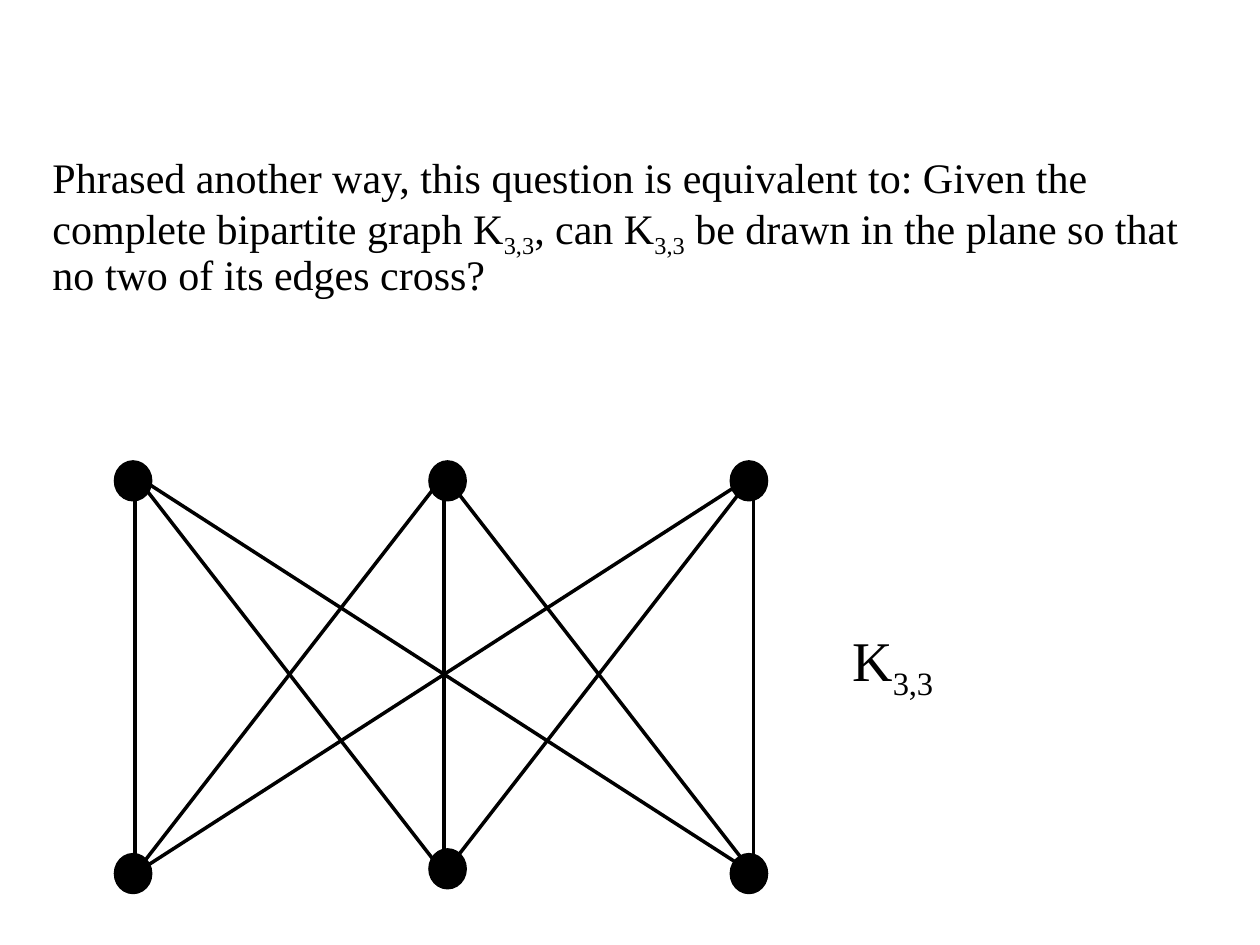
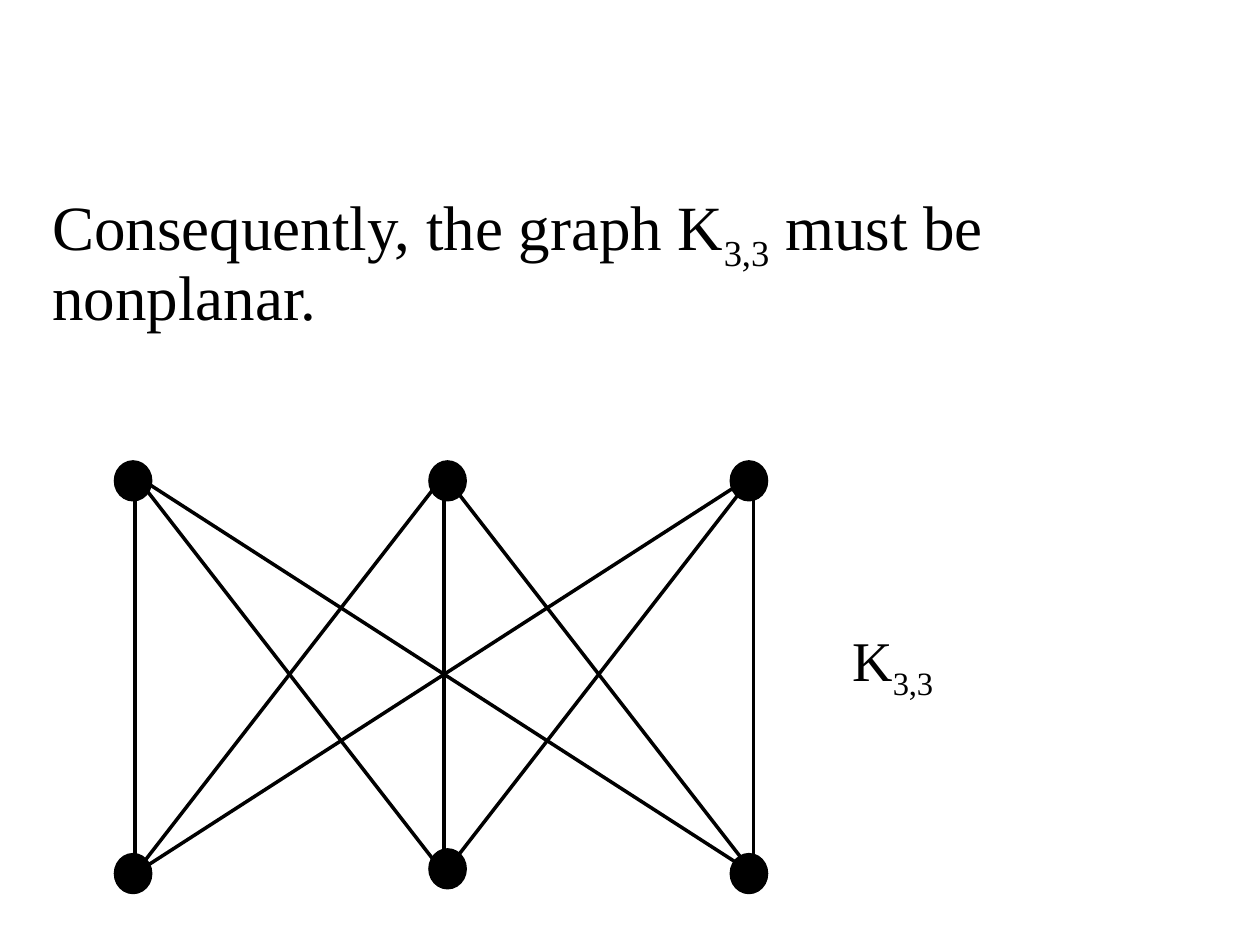
from dataclasses import dataclass
from itertools import product

from lxml import etree
from pptx import Presentation
from pptx.dml.color import RGBColor
from pptx.enum.shapes import MSO_CONNECTOR, MSO_SHAPE
from pptx.enum.text import MSO_ANCHOR, MSO_AUTO_SIZE, PP_ALIGN
from pptx.oxml.ns import qn
from pptx.util import Inches, Pt

STRAIGHT = MSO_CONNECTOR.STRAIGHT
ELLIPSE = MSO_SHAPE.OVAL
TOP = MSO_ANCHOR.TOP
GROW = MSO_AUTO_SIZE.SHAPE_TO_FIT_TEXT
LEFT = PP_ALIGN.LEFT

SLIDE_WIDTH, SLIDE_HEIGHT = Inches(10), Inches(7.5)
COLUMNS, ROWS = 120, 90
CONTENT_LAYOUT = 1
SUBSCRIPT_MARK = "~"


@dataclass(frozen=True)
class Theme:
    ink: RGBColor = RGBColor(0, 0, 0)
    font: str = "Times New Roman"
    question_size: int = 24
    conclusion_size: int = 36
    label_size: int = 32
    line_width: int = 2
    statement_spacing: float = 0.9
    subscript_shift: str = "-25000"


THEME = Theme()

STATEMENTS = (
    ("Phrased another way, this question is equivalent to: Given the complete "
     "bipartite graph K~3,3~, can K~3,3~ be drawn in the plane so that no two "
     "of its edges cross?", THEME.question_size, (5, 15, 110, 26)),
    ("Consequently, the graph K~3,3~ must be nonplanar.",
     THEME.conclusion_size, (5, 18, 110, 19)),
)
GRAPH_BOX = (11, 44, 62, 41)
LABEL_BOX = (80, 59, 13, 7.5)


def across(columns):
    return round(SLIDE_WIDTH * columns / COLUMNS)


def down(rows):
    return round(SLIDE_HEIGHT * rows / ROWS)


def grid(box):
    left, top, width, height = box
    return across(left), down(top), across(width), down(height)


def write(shape, text, size, spacing=1.0, inset=None):
    frame = shape.text_frame
    frame.word_wrap = True
    frame.vertical_anchor = TOP
    frame.auto_size = GROW
    if inset is not None:
        frame.margin_left = frame.margin_right = inset
        frame.margin_top = frame.margin_bottom = inset
    para = frame.paragraphs[0]
    para.alignment = LEFT
    para.line_spacing = spacing
    para.space_before = Pt(0)
    for index, part in enumerate(text.split(SUBSCRIPT_MARK)):
        if not part:
            continue
        span = para.add_run()
        span.text = part
        span.font.name = THEME.font
        span.font.size = Pt(size)
        span.font.color.rgb = THEME.ink
        if index % 2:
            span._r.get_or_add_rPr().set("baseline", THEME.subscript_shift)
    return para


def outline(shape):
    shape.line.color.rgb = THEME.ink
    shape.line.width = Pt(THEME.line_width)


def add_statement(page, text, size, box):
    body = page.placeholders[1]
    body.left, body.top, body.width, body.height = grid(box)
    para = write(body, text, size, spacing=THEME.statement_spacing, inset=0)
    properties = para._p.get_or_add_pPr()
    properties.set("marL", "0")
    properties.set("indent", "0")
    etree.SubElement(properties, qn("a:buNone"))


def add_edge(graph, start, end):
    edge = graph.shapes.add_connector(
        STRAIGHT, across(start[0]), down(start[1]), across(end[0]), down(end[1]))
    outline(edge)
    etree.SubElement(edge._element.spPr, qn("a:effectLst"))


def add_vertex(graph, box):
    vertex = graph.shapes.add_shape(ELLIPSE, *grid(box))
    vertex.shadow.inherit = False
    vertex.fill.solid()
    vertex.fill.fore_color.rgb = THEME.ink
    outline(vertex)


def add_bipartite_graph(page, box):
    left, top, width, height = box
    vertex_width, vertex_height = 3.35, 3.6
    vertex_columns = (0, 29.95, width - vertex_width)
    lower_rows = (height - vertex_height, height - vertex_height - 0.45,
                  height - vertex_height)
    edge_columns = [left + 1.85 + 29.45 * index for index in range(3)]
    graph = page.shapes.add_group_shape()
    for upper, lower in product(edge_columns, repeat=2):
        add_edge(graph, (upper, top + 1.25), (lower, top + 39.2))
    for column, lower_row in zip(vertex_columns, lower_rows):
        for row in (0, lower_row):
            add_vertex(graph, (left + column, top + row,
                               vertex_width, vertex_height))


def add_label(page, box):
    label = page.shapes.add_textbox(*grid(box))
    write(label, "K~3,3~", THEME.label_size)


def add_graph_slide(deck, text, size, box):
    page = deck.slides.add_slide(deck.slide_layouts[CONTENT_LAYOUT])
    title = page.shapes.title.element
    title.getparent().remove(title)
    add_statement(page, text, size, box)
    add_label(page, LABEL_BOX)
    add_bipartite_graph(page, GRAPH_BOX)


def main():
    deck = Presentation()
    deck.slide_width, deck.slide_height = SLIDE_WIDTH, SLIDE_HEIGHT
    for text, size, box in STATEMENTS:
        add_graph_slide(deck, text, size, box)
    deck.save("out.pptx")


if __name__ == "__main__":
    main()
